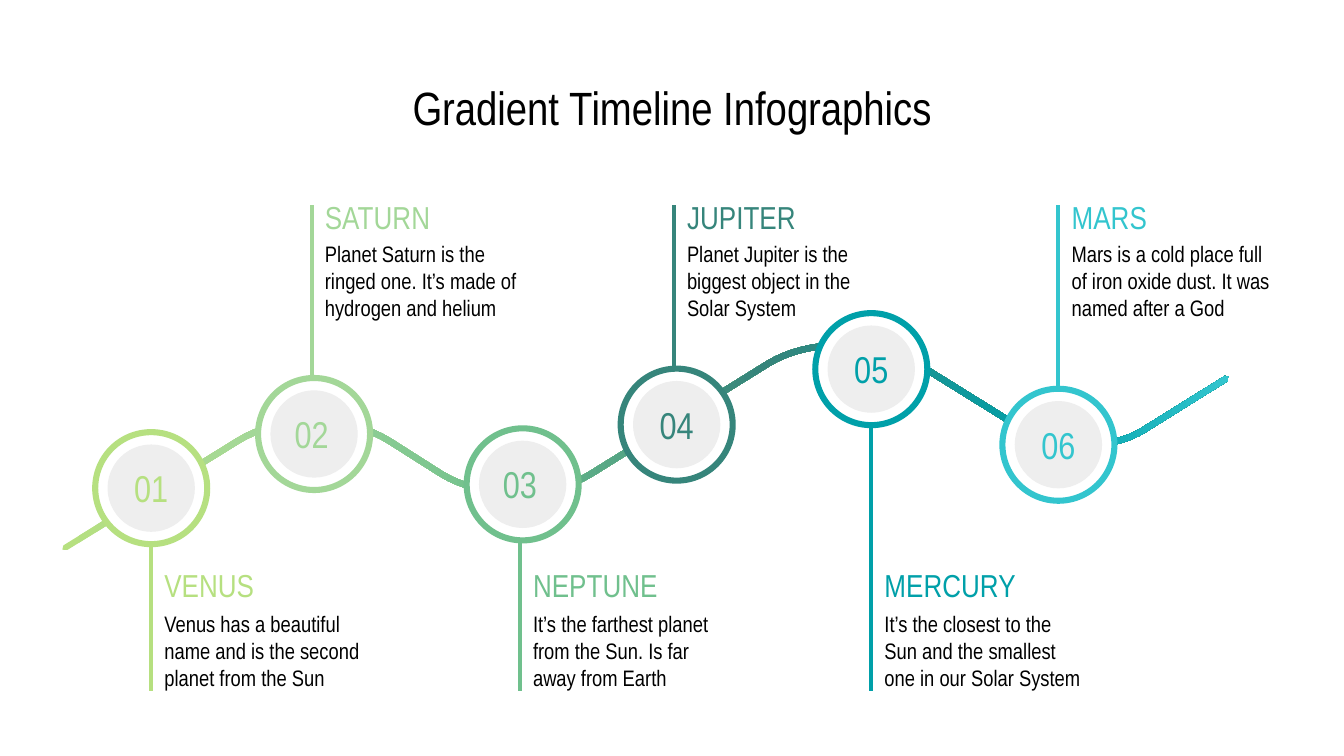
import math

from lxml import etree
from pptx import Presentation
from pptx import util as u
from pptx.dml.color import RGBColor
from pptx.enum import shapes, text
from pptx.oxml import ns

Pt = u.Pt
FONT = "Arial Narrow"
COLORS = {
    "black": "000000", "white": "FFFFFF", "grey": "EEEEEE",
    "venus": "B6E080", "saturn": "A3D798", "neptune": "70C08D",
    "jupiter": "36857B", "mercury": "00A0A9", "mars": "33C5CE",
}
# name, description, stem x, number x, ring centre x, ring centre y, text above
PLANETS = [
    ("venus", "Venus has a beautiful name and is the second planet from the Sun",
     81, 81, 81, 261.5, False),
    ("saturn", "Planet Saturn is the ringed one. It’s made of hydrogen and helium",
     167, 167, 168.25, 232.5, True),
    ("neptune", "It’s the farthest planet from the Sun. Is far away from Earth",
     278.5, 278.5, 280, 259.5, False),
    ("jupiter", "Planet Jupiter is the biggest object in the Solar System",
     361, 362.5, 362.5, 227.5, True),
    ("mercury", "It’s the closest to the Sun and the smallest one in our Solar System",
     466.75, 466.75, 466.75, 197.75, False),
    ("mars", "Mars is a cold place full of iron oxide dust. It was named after a God",
     567, 567, 567, 238.25, True),
]
WAVE_START, WAVE_END = (34.8, 293.6), (657, 202.8)
# left x, right x, y of both ends, direction of the bend (1 is down)
WAVE_BENDS = [
    (127.5, 208.5, 236.2, -1),
    (236.2, 316.8, 253.8, 1),
    (411.1, 491.8, 195.1, -1),
    (548.6, 612.7, 230.4, 1),
]
WAVE_STOPS = [(0, "venus"), (17, "saturn"), (37, "neptune"),
              (60, "jupiter"), (84, "mercury"), (100, "mars")]


def rgb(name):
    return RGBColor.from_string(COLORS[name])


def add_label(page, words, x, y, width, height, size, color,
              align=text.PP_ALIGN.LEFT, anchor=text.MSO_ANCHOR.TOP):
    box = page.shapes.add_textbox(Pt(x), Pt(y), Pt(width), Pt(height))
    frame = box.text_frame
    frame.word_wrap = True
    frame.vertical_anchor = anchor
    frame.margin_left = frame.margin_right = Pt(7.2)
    frame.margin_top = frame.margin_bottom = Pt(7.2)
    frame.text = words
    para = frame.paragraphs[0]
    para.alignment = align
    span = para.runs[0]
    span.font.name = FONT
    span.font.size = Pt(size)
    span.font.color.rgb = rgb(color)


def add_disc(page, x, y, diameter, fill, line=None):
    left, top = x - diameter / 2, y - diameter / 2
    disc = page.shapes.add_shape(shapes.MSO_SHAPE.OVAL, Pt(left), Pt(top),
                                 Pt(diameter), Pt(diameter))
    disc.shadow.inherit = False
    disc.fill.solid()
    disc.fill.fore_color.rgb = rgb(fill)
    if line:
        disc.line.color.rgb = rgb(line)
        disc.line.width = Pt(3.25)
    else:
        disc.line.fill.background()


def add_stem(page, x, top, bottom, color):
    stem = page.shapes.add_connector(shapes.MSO_CONNECTOR.STRAIGHT,
                                     Pt(x), Pt(top), Pt(x), Pt(bottom))
    stem.line.color.rgb = rgb(color)
    stem.line.width = Pt(2.25)
    etree.SubElement(stem.element.spPr, ns.qn("a:effectLst"))


def bend_points(left, right, y, direction, steps=16):
    """Points along a symmetric cubic curve between two level ends."""
    width = right - left
    inset, depth = 0.27 * width, 0.17 * width * direction
    points = []
    for step in range(steps + 1):
        t = step / steps
        a, b, c, d = (1 - t) ** 3, 3 * t * (1 - t) ** 2, 3 * t * t * (1 - t), t ** 3
        points.append((a * left + b * (left + inset) + c * (right - inset) + d * right,
                       y + (b + c) * depth))
    return points


def band_outline(centre, half):
    """Outline of a band of constant width around a centre line."""
    upper, lower = [], []
    last = len(centre) - 1
    for i, (x, y) in enumerate(centre):
        x0, y0 = centre[max(i - 1, 0)]
        x1, y1 = centre[min(i + 1, last)]
        length = math.hypot(x1 - x0, y1 - y0)
        dx, dy = half * (x1 - x0) / length, half * (y1 - y0) / length
        if i == 0:
            lower.append((x - dx, y - dy))
        upper.append((x + dy, y - dx))
        if i == last:
            upper.append((x + dx, y + dy))
        lower.append((x - dy, y + dx))
    return upper + lower[::-1]


def set_gradient(fill, stops):
    fill.gradient()
    fill.gradient_angle = 0
    stop_list = fill._fill._gradFill.find(ns.qn("a:gsLst"))
    for old in list(stop_list):
        stop_list.remove(old)
    for percent, name in stops:
        stop = etree.SubElement(stop_list, ns.qn("a:gs"), pos=str(percent * 1000))
        etree.SubElement(stop, ns.qn("a:srgbClr"), val=COLORS[name])


def add_wave(page):
    centre = [WAVE_START]
    for bend in WAVE_BENDS:
        centre += bend_points(*bend)
    centre.append(WAVE_END)
    outline = [(Pt(x), Pt(y)) for x, y in band_outline(centre, 1.6)]
    builder = page.shapes.build_freeform(*outline[0])
    builder.add_line_segments(outline[1:], close=True)
    wave = builder.convert_to_shape()
    wave.shadow.inherit = False
    wave.line.fill.background()
    set_gradient(wave.fill, WAVE_STOPS)


def add_planet(page, number, planet):
    name, description, stem_x, number_x, x, y, above = planet
    if above:
        add_stem(page, stem_x, 110, y - 28, name)
    else:
        add_stem(page, stem_x, y + 28, 370, name)
    add_disc(page, x, y, 60, "white", name)
    add_disc(page, x, y, 46.8, "grey")
    add_label(page, f"{number:02}", number_x - 19, y - 12.5, 38, 24.5, 20, name,
              text.PP_ALIGN.CENTER, text.MSO_ANCHOR.MIDDLE)
    add_label(page, name.upper(), stem_x, 98.5 if above else 296, 122.4, 22.5, 17, name)
    add_label(page, description, stem_x, 121.7 if above else 319.7, 122.4, 50.4,
              12, "black")


def main():
    deck = Presentation()
    deck.slide_width, deck.slide_height = Pt(720), Pt(405)
    page = deck.slides.add_slide(deck.slide_layouts[6])
    add_label(page, "Gradient Timeline Infographics", 32.4, 35.3, 655.2, 45.4, 25,
              "black", text.PP_ALIGN.CENTER)
    add_wave(page)
    for number, planet in enumerate(PLANETS, 1):
        add_planet(page, number, planet)
    deck.save("out.pptx")


if __name__ == "__main__":
    main()
